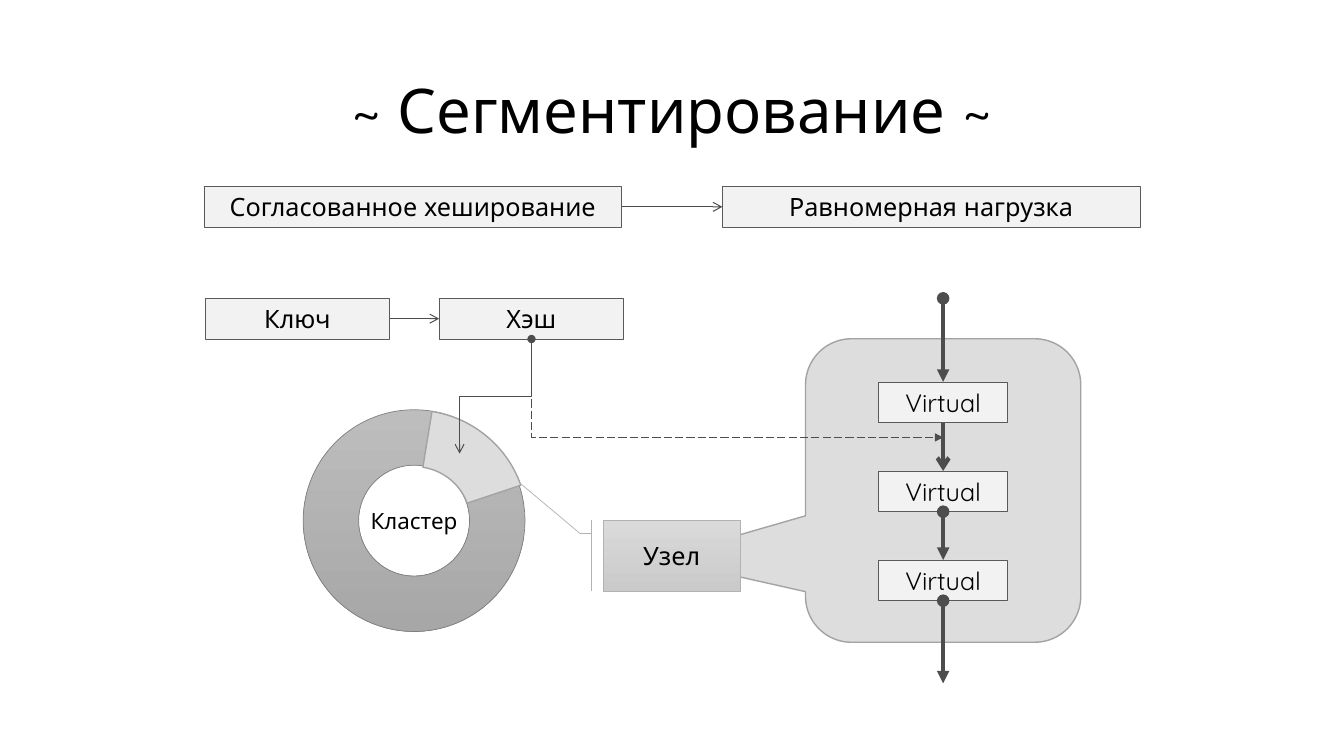
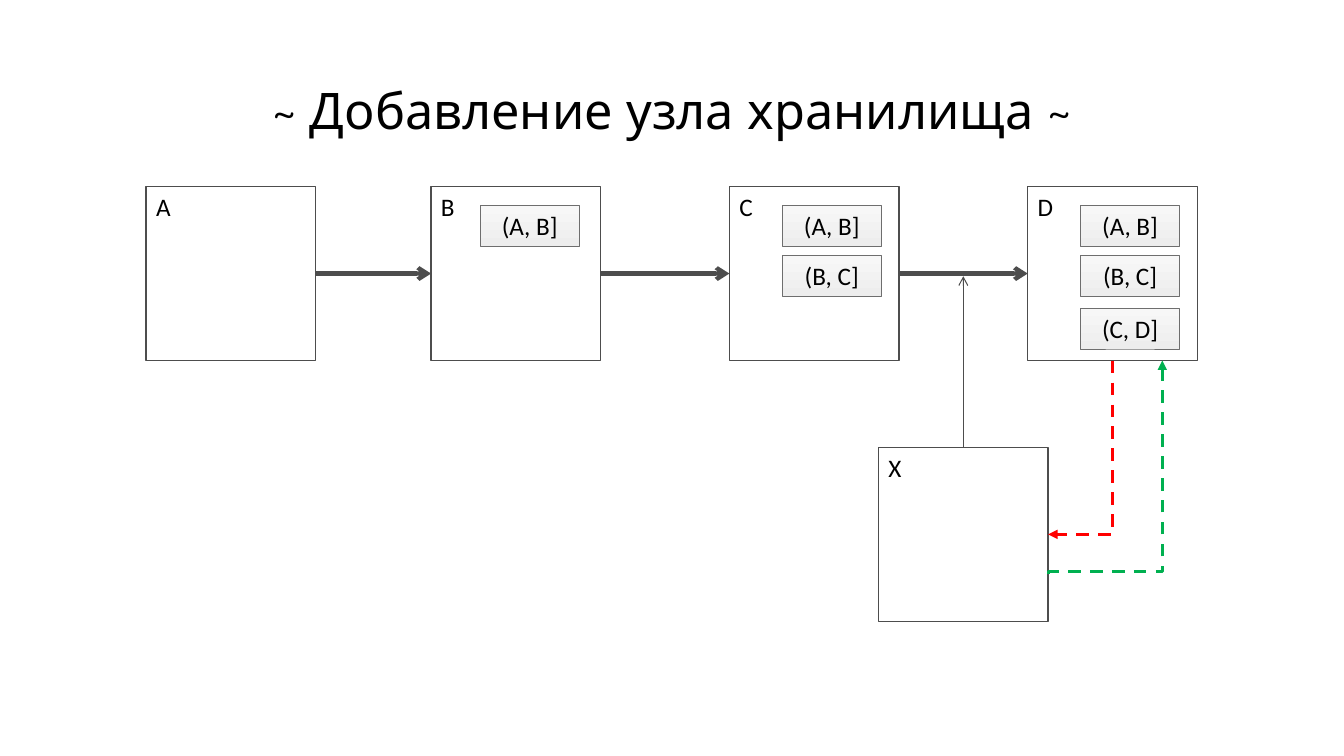
import lxml.etree
import pptx
import pptx.dml.color
import pptx.enum.dml
import pptx.enum.shapes
import pptx.enum.text
import pptx.oxml.ns
import pptx.util

Pt = pptx.util.Pt
qn = pptx.oxml.ns.qn
Shapes = pptx.enum.shapes.MSO_SHAPE
Connectors = pptx.enum.shapes.MSO_CONNECTOR
Dash = pptx.enum.dml.MSO_LINE
Align = pptx.enum.text.PP_ALIGN
Anchor = pptx.enum.text.MSO_ANCHOR
AutoSize = pptx.enum.text.MSO_AUTO_SIZE

COLORS = {
    "text": "000000", "white": "FFFFFF", "box": "F2F2F2", "box_line": "595959",
    "arrow": "4D4D4D", "panel": "DDDDDD", "panel_line": "A3A3A3",
    "ring_top": "BDBDBD", "ring_bottom": "A7A7A7", "ring_line": "808080",
    "node_top": "DADADA", "node_bottom": "CACACA", "node_line": "B2B2B2",
    "range_top": "F7F7F7", "range_bottom": "EDEDED", "range_line": "6E6E6E",
    "red": "FF0000", "green": "00B050",
}
FONT = "Quicksand"
LATIN_FONT = "Calibri"
TOP, BOTTOM, LEFT, RIGHT = 0, 2, 1, 3
BOX_HEIGHT = 29.1


def rgb(name):
    return pptx.dml.color.RGBColor.from_string(COLORS[name])


def write_text(shape, text, size=18, font=FONT, align=Align.CENTER,
               anchor=Anchor.TOP, grow=False, spacing=None):
    frame = shape.text_frame
    frame.word_wrap = True
    frame.vertical_anchor = anchor
    if grow:
        frame.auto_size = AutoSize.SHAPE_TO_FIT_TEXT
    paragraph = frame.paragraphs[0]
    paragraph.alignment = align
    paragraph.line_spacing = spacing
    run = paragraph.add_run()
    run.text = text
    run.font.size = Pt(size)
    run.font.name = font
    run.font.color.rgb = rgb("text")


class Deck:
    def __init__(self):
        self.presentation = pptx.Presentation()
        self.presentation.slide_width = Pt(960)
        self.presentation.slide_height = Pt(540)
        self.slide = None

    def add_slide(self, title, size):
        layout = self.presentation.slide_layouts[6]
        self.slide = self.presentation.slides.add_slide(layout)
        box = self.slide.shapes.add_textbox(Pt(66), Pt(28.8), Pt(828), Pt(104.4))
        write_text(box, title, size=size, anchor=Anchor.MIDDLE, spacing=0.9)

    def shape(self, kind, left, top, width, height, fill, line, line_width=0.5,
              adjustments=()):
        """Draw a preset shape; a pair of fills gives a top-to-bottom gradient."""
        shape = self.slide.shapes.add_shape(
            kind, Pt(left), Pt(top), Pt(width), Pt(height))
        shape.shadow.inherit = False
        for index, value in enumerate(adjustments):
            shape.adjustments[index] = value
        if isinstance(fill, tuple):
            shape.fill.gradient()
            shape.fill.gradient_angle = 270
            for stop, color in zip(shape.fill.gradient_stops, fill):
                stop.color.rgb = rgb(color)
        else:
            shape.fill.solid()
            shape.fill.fore_color.rgb = rgb(fill)
        shape.line.color.rgb = rgb(line)
        shape.line.width = Pt(line_width)
        return shape

    def label_box(self, text, left, top, width):
        box = self.shape(Shapes.RECTANGLE, left, top, width, BOX_HEIGHT,
                         "box", "box_line")
        write_text(box, text, grow=True)
        return box

    def range_box(self, text, left, top):
        box = self.shape(Shapes.RECTANGLE, left, top, 70.9, BOX_HEIGHT,
                         ("range_top", "range_bottom"), "range_line")
        write_text(box, text, font=LATIN_FONT, grow=True)

    def storage_node(self, name, left, top):
        node = self.shape(Shapes.RECTANGLE, left, top, 121.2, 124.4,
                          "white", "arrow", 1)
        write_text(node, name, font=LATIN_FONT, align=Align.LEFT)
        return node

    def connector(self, kind, begin, end, color="arrow", width=0.75, dash=None,
                  head=None, tail="arrow"):
        """Each end is an (x, y) point or a (shape, side) pair."""
        free = [(0, 0) if hasattr(place[0], "text_frame") else place
                for place in (begin, end)]
        connector = self.slide.shapes.add_connector(
            kind, *(Pt(value) for point in free for value in point))
        if free[0] != begin:
            connector.begin_connect(*begin)
        if free[1] != end:
            connector.end_connect(*end)
        connector.line.color.rgb = rgb(color)
        connector.line.width = Pt(width)
        if dash:
            connector.line.dash_style = dash
        outline = connector.get_or_add_ln()
        for tag, arrowhead in (("a:headEnd", head), ("a:tailEnd", tail)):
            if arrowhead:
                lxml.etree.SubElement(outline, qn(tag), type=arrowhead)
        lxml.etree.SubElement(connector.element.spPr, qn("a:effectLst"))
        return connector

    def arrow(self, begin, end, **style):
        return self.connector(Connectors.STRAIGHT, begin, end, **style)

    def elbow(self, begin, end, preset, turn=90, bend=None, **style):
        """Bent connector that leaves its start vertically.

        The preset leaves horizontally, so its ends are turned back around the
        centre and the frame is then rotated by the same angle (90 or 270).
        """
        connector = self.connector(Connectors.ELBOW, begin, end, **style)
        x1, y1 = connector.begin_x, connector.begin_y
        x2, y2 = connector.end_x, connector.end_y
        center_x, center_y = (x1 + x2) // 2, (y1 + y2) // 2
        sign = 1 if turn == 90 else -1
        connector.begin_x = center_x + sign * (y1 - center_y)
        connector.begin_y = center_y - sign * (x1 - center_x)
        connector.end_x = center_x + sign * (y2 - center_y)
        connector.end_y = center_y - sign * (x2 - center_x)
        properties = connector.element.spPr
        properties.find(qn("a:xfrm")).set("rot", str(turn * 60000))
        geometry = properties.find(qn("a:prstGeom"))
        geometry.set("prst", preset)
        if bend is not None:
            lxml.etree.SubElement(geometry.find(qn("a:avLst")), qn("a:gd"),
                                  name="adj1", fmla=f"val {round(bend * 100000)}")


def build_sharding(deck):
    deck.add_slide("~ Сегментирование ~", 44)
    deck.shape(Shapes.ROUNDED_RECTANGULAR_CALLOUT, 575.4, 242, 196.6, 216.8,
               "panel", "panel_line", 1, (-1.037, 0.224, 0.167))

    hashing = deck.label_box("Согласованное хеширование", 145.7, 133.2, 298.4)
    load = deck.label_box("Равномерная нагрузка", 516, 133.2, 298.4)
    deck.arrow((hashing, RIGHT), (load, LEFT))

    cluster = deck.shape(Shapes.DONUT, 216.6, 292.7, 158.4, 158.4,
                         ("ring_top", "ring_bottom"), "ring_line")
    write_text(cluster, "Кластер", size=16, anchor=Anchor.MIDDLE)
    key = deck.label_box("Ключ", 146.6, 213.1, 131.8)
    key_hash = deck.label_box("Хэш", 313.7, 213.1, 131.8)
    deck.arrow((key, RIGHT), (key_hash, LEFT))

    sector = deck.shape(Shapes.BLOCK_ARC, 216.6, 291.5, 158.4, 161.2,
                        "panel", "panel_line", 1, (109.827, 147.195, 0.255))
    sector.rotation = 96.2
    deck.elbow((key_hash, BOTTOM), (328.3, 324), "bentConnector3", bend=0.5)
    node = deck.shape(Shapes.LINE_CALLOUT_2_BORDER_AND_ACCENT_BAR,
                      430.7, 371.5, 98.2, 50.6, ("node_top", "node_bottom"),
                      "node_line",
                      adjustments=(0.188, -0.083, 0.188, -0.167, -0.517, -0.6))
    write_text(node, "Узел", anchor=Anchor.MIDDLE)

    first, second, third = [
        deck.label_box("Virtual", 627.6, 272.8 + 63.6 * row, 92.2)
        for row in range(3)]
    axis = 673.7
    deck.arrow((first, BOTTOM), (second, TOP), width=3)
    for begin, end in (((second, BOTTOM), (third, TOP)),
                       ((third, BOTTOM), (axis, 488.2)),
                       ((axis, 213.1), (first, TOP))):
        deck.arrow(begin, end, width=3, head="oval", tail="triangle")
    deck.elbow((key_hash, BOTTOM), (axis, 312.5), "bentConnector2", turn=270,
               dash=Dash.LONG_DASH, head="oval", tail="triangle")


def build_adding_node(deck):
    deck.add_slide("~ Добавление узла хранилища ~", 36)
    ranges = ("(A, B]", "(B, C]", "(C, D]")
    range_tops = (146.7, 182.5, 220.2)
    node_lefts = {"A": 104.4, "B": 307.9, "C": 521, "D": 734.1}
    range_lefts = {"B": 342.9, "C": 558.7, "D": 771.8}

    nodes = [deck.storage_node(name, left, 133.2)
             for name, left in node_lefts.items()]
    for previous, following in zip(nodes, nodes[1:]):
        deck.arrow((previous, RIGHT), (following, LEFT), width=3)
    for count, left in enumerate(range_lefts.values(), start=1):
        for text, top in zip(ranges[:count], range_tops):
            deck.range_box(text, left, top)

    added = deck.storage_node("X", 627.5, 319.5)
    deck.arrow((added, TOP), (688.1, 197.3))
    traffic = {"width": 2.25, "dash": Dash.DASH, "tail": "triangle"}
    deck.elbow((nodes[-1], BOTTOM), (added, RIGHT), "bentConnector2",
               color="red", **traffic)
    deck.elbow((748.7, 410), (830.2, 257.6), "bentConnector3", bend=0.01,
               color="green", **traffic)


def main():
    deck = Deck()
    build_sharding(deck)
    build_adding_node(deck)
    deck.presentation.save("out.pptx")


if __name__ == "__main__":
    main()
